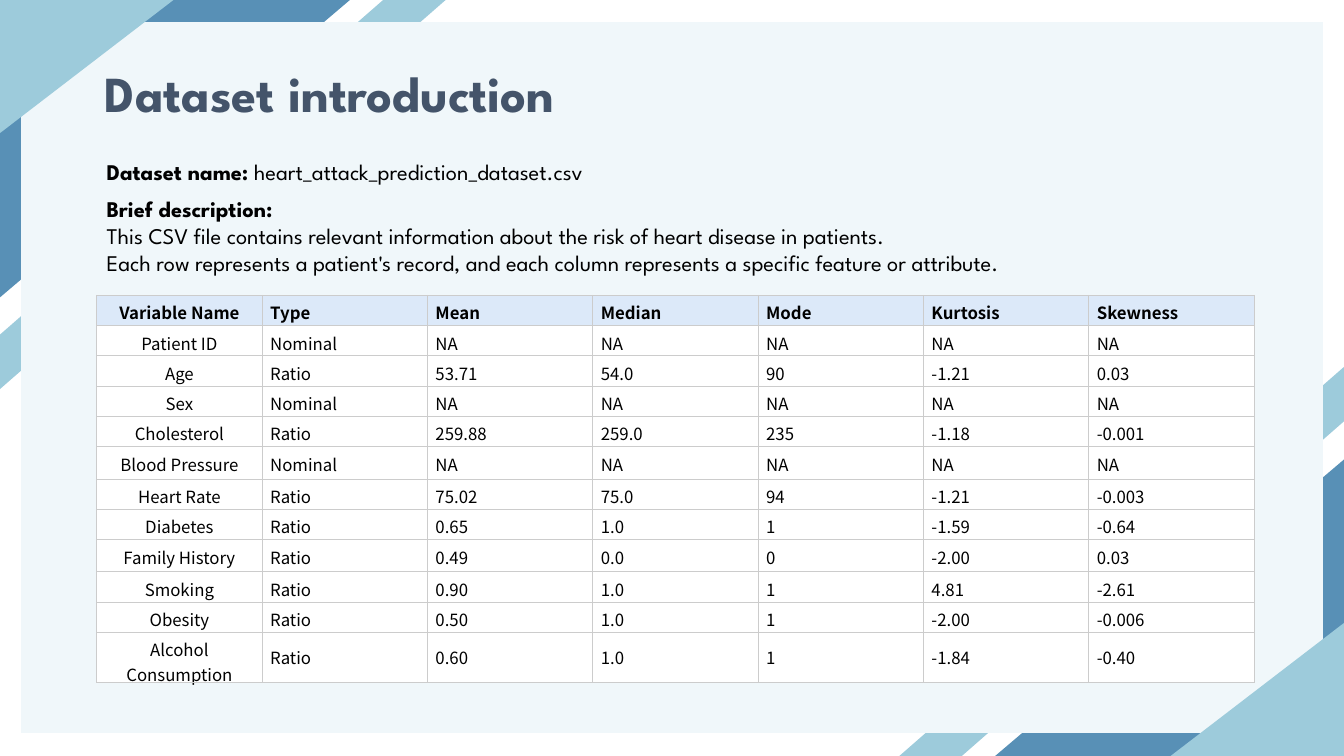
"""Build the dataset introduction slide with its table of variable statistics."""
from pptx import Presentation
from pptx.dml.color import RGBColor
from pptx.enum.shapes import MSO_SHAPE
from pptx.enum.text import MSO_ANCHOR, MSO_AUTO_SIZE, PP_ALIGN
from pptx.oxml import parse_xml
from pptx.oxml.ns import nsdecls
from pptx.util import Inches, Pt

WHITE = RGBColor(0xFF, 0xFF, 0xFF)
BLACK = RGBColor(0x00, 0x00, 0x00)
SLATE = RGBColor(0x44, 0x54, 0x6A)
LIGHT_BLUE = RGBColor(0x9D, 0xCB, 0xDB)
MID_BLUE = RGBColor(0x58, 0x90, 0xB6)
PANEL_BLUE = RGBColor(0xF0, 0xF7, 0xFA)
HEADER_BLUE = RGBColor(0xDC, 0xE9, 0xF9)
BORDER_GREY = RGBColor(0xCC, 0xCC, 0xCC)
HEADING_FONT = "League Spartan"
TABLE_FONT = "Noto Sans CJK SC"


def write(paragraph, text, *, size=16, font=HEADING_FONT, color=BLACK, bold=False):
    run = paragraph.add_run()
    run.text = text
    run.font.size = Pt(size)
    run.font.name = font
    run.font.color.rgb = color
    run.font.bold = bold


def paint(shape, color):
    shape.fill.solid()
    shape.fill.fore_color.rgb = color
    shape.line.fill.background()
    shape.shadow.inherit = False


prs = Presentation()
prs.slide_width = Inches(13.33)
prs.slide_height = Inches(7.5)
slide = prs.slides.add_slide(prs.slide_layouts[5])
shapes = slide.shapes

bands = [
    [(13.33, 3.64), (13.33, 4.18), (9.54, 7.5), (8.92, 7.5)],
    [(4.42, 0), (0, 3.86), (0, 3.32), (3.8, 0)],
]
for band in bands:
    corners = [(Inches(x), Inches(y)) for x, y in band]
    outline = shapes.build_freeform(*corners[0], scale=1.0)
    outline.add_line_segments(corners[1:], close=True)
    paint(outline.convert_to_shape(), LIGHT_BLUE)

backdrop = [
    (MSO_SHAPE.ISOSCELES_TRIANGLE, 0.26, -0.26, 2.95, 3.47, 90, MID_BLUE),
    (MSO_SHAPE.ISOSCELES_TRIANGLE, 10.13, 4.29, 2.95, 3.47, 270, MID_BLUE),
    (MSO_SHAPE.RECTANGLE, 0.21, 0.22, 12.91, 7.05, 0, PANEL_BLUE),
    (MSO_SHAPE.ISOSCELES_TRIANGLE, 11.81, 5.98, 1.32, 1.72, 270, LIGHT_BLUE),
    (MSO_SHAPE.ISOSCELES_TRIANGLE, 0.2, -0.2, 1.32, 1.72, 90, LIGHT_BLUE),
]
for kind, left, top, width, height, rotation, color in backdrop:
    piece = shapes.add_shape(kind, Inches(left), Inches(top), Inches(width), Inches(height))
    piece.rotation = rotation
    if kind == MSO_SHAPE.ISOSCELES_TRIANGLE:
        piece.adjustments[0] = 0
    paint(piece, color)

title = shapes.title
title.element.getparent().append(title.element)
title.left, title.top, title.width, title.height = (
    Inches(0.94), Inches(0.57), Inches(5.8), Inches(0.71))
title.text_frame.auto_size = MSO_AUTO_SIZE.SHAPE_TO_FIT_TEXT
title.text_frame.vertical_anchor = MSO_ANCHOR.TOP
heading = title.text_frame.paragraphs[0]
heading.alignment = PP_ALIGN.LEFT
write(heading, "Dataset introduction", size=36, color=SLATE, bold=True)

dataset_name = [[("Dataset name:", True), (" heart_attack_prediction_dataset.csv", False)]]
description = [
    [("Brief description:", True)],
    [("This CSV file contains relevant information about the risk of heart disease in patients.",
      False)],
    [("Each row represents a patient's record, and each column represents a specific feature "
      "or attribute.", False)],
]
for top, width, height, lines in [(1.52, 6.8, 0.37, dataset_name),
                                  (1.89, 10.85, 0.91, description)]:
    frame = shapes.add_textbox(
        Inches(0.96), Inches(top), Inches(width), Inches(height)).text_frame
    frame.word_wrap = True
    frame.auto_size = MSO_AUTO_SIZE.SHAPE_TO_FIT_TEXT
    for index, line in enumerate(lines):
        paragraph = frame.add_paragraph() if index else frame.paragraphs[0]
        for text, bold in line:
            write(paragraph, text, bold=bold)

statistics = [
    ("Variable Name", "Type", "Mean", "Median", "Mode", "Kurtosis", "Skewness"),
    ("Patient ID", "Nominal", "NA", "NA", "NA", "NA", "NA"),
    ("Age", "Ratio", "53.71", "54.0", "90", "-1.21", "0.03"),
    ("Sex", "Nominal", "NA", "NA", "NA", "NA", "NA"),
    ("Cholesterol", "Ratio", "259.88", "259.0", "235", "-1.18", "-0.001"),
    ("Blood Pressure", "Nominal", "NA", "NA", "NA", "NA", "NA"),
    ("Heart Rate", "Ratio", "75.02", "75.0", "94", "-1.21", "-0.003"),
    ("Diabetes", "Ratio", "0.65", "1.0", "1", "-1.59", "-0.64"),
    ("Family History", "Ratio", "0.49", "0.0", "0", "-2.00", "0.03"),
    ("Smoking", "Ratio", "0.90", "1.0", "1", "4.81", "-2.61"),
    ("Obesity", "Ratio", "0.50", "1.0", "1", "-2.00", "-0.006"),
    ("Alcohol Consumption", "Ratio", "0.60", "1.0", "1", "-1.84", "-0.40"),
]
row_heights = [0.3, 0.29, 0.29, 0.29, 0.29, 0.32, 0.29, 0.29, 0.32, 0.29, 0.29, 0.49]
table = shapes.add_table(len(statistics), len(statistics[0]), Inches(0.96), Inches(2.93),
                         Inches(11.47), Inches(3.77)).table
table.first_row = False
table.horz_banding = False
for column in table.columns:
    column.width = Inches(1.64)
for row_index, (record, row_height) in enumerate(zip(statistics, row_heights)):
    table.rows[row_index].height = Inches(row_height)
    is_header = row_index == 0
    for column_index, value in enumerate(record):
        cell = table.cell(row_index, column_index)
        cell.vertical_anchor = MSO_ANCHOR.MIDDLE
        cell.margin_left = cell.margin_right = Inches(0.08)
        cell.margin_top = cell.margin_bottom = Inches(0.05)
        properties = cell._tc.get_or_add_tcPr()
        for side in ("lnL", "lnR", "lnT", "lnB"):
            properties.append(parse_xml(
                f'<a:{side} {nsdecls("a")} w="{Pt(0.75)}"><a:solidFill>'
                f'<a:srgbClr val="{BORDER_GREY}"/></a:solidFill></a:{side}>'))
        cell.fill.solid()
        cell.fill.fore_color.rgb = HEADER_BLUE if is_header else WHITE
        paragraph = cell.text_frame.paragraphs[0]
        paragraph.alignment = PP_ALIGN.JUSTIFY if column_index else PP_ALIGN.CENTER
        write(paragraph, value, size=12, font=TABLE_FONT, bold=is_header)

prs.save("out.pptx")
